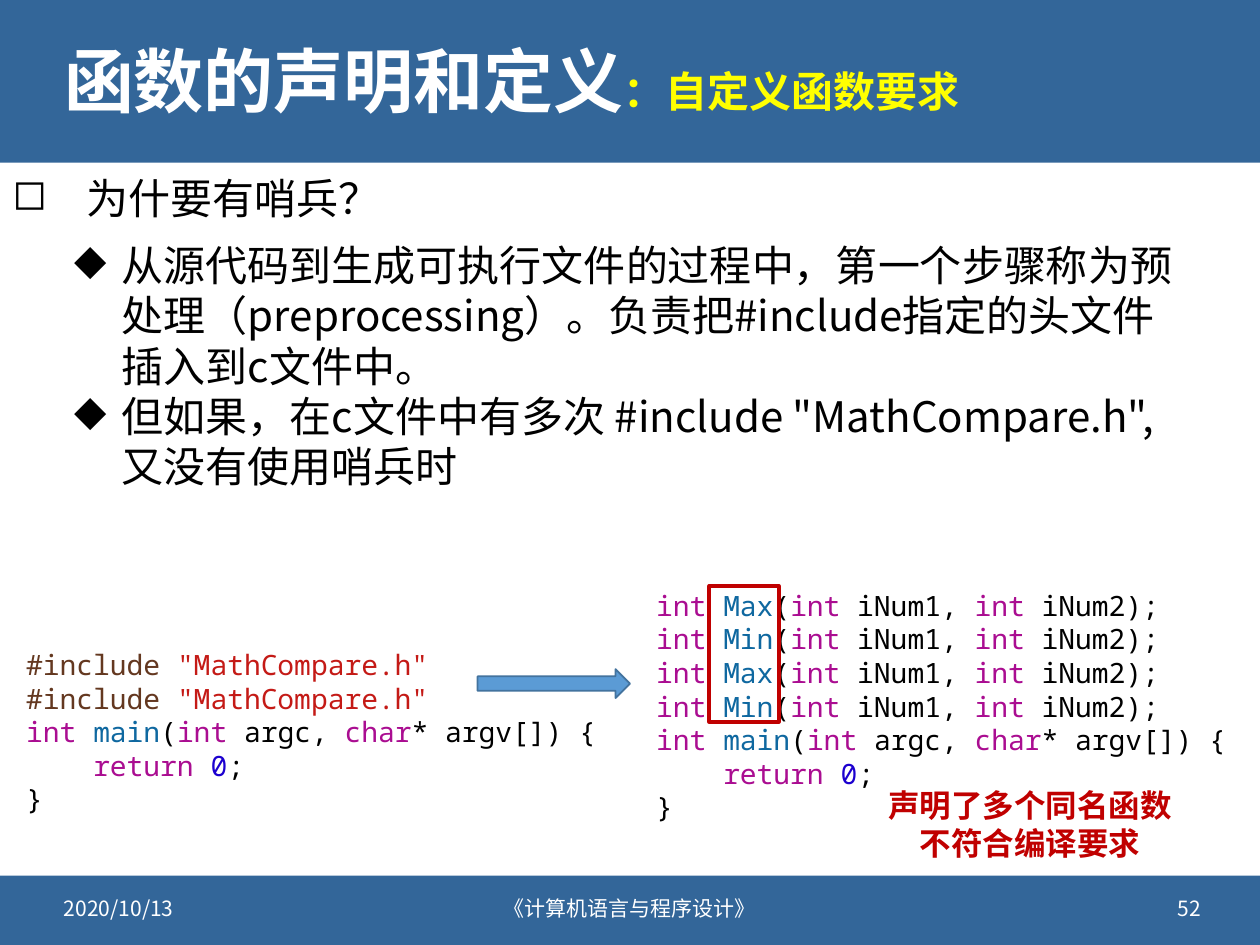
from lxml import etree
from pptx import Presentation
from pptx.dml.color import RGBColor
from pptx.enum.shapes import MSO_SHAPE as Shape
from pptx.enum.text import MSO_ANCHOR as Anchor, PP_ALIGN as Align
from pptx.oxml.ns import qn
from pptx.util import Inches, Pt

SANS, MONO = "Noto Sans CJK SC", "Noto Sans Mono"
WHITE = RGBColor(0xFF, 0xFF, 0xFF)
BLACK = RGBColor(0x00, 0x00, 0x00)
BAND_BLUE = RGBColor(0x33, 0x66, 0x99)
YELLOW = RGBColor(0xFF, 0xFF, 0x00)
RED = RGBColor(0xC0, 0x00, 0x00)
ARROW_FILL = RGBColor(0x5B, 0x9B, 0xD5)
ARROW_LINE = RGBColor(0x43, 0x73, 0x9E)
# Code colours
DIRECTIVE = RGBColor(0x64, 0x38, 0x20)
STRING = RGBColor(0xC4, 0x1A, 0x16)
KEYWORD = RGBColor(0xAA, 0x0D, 0x91)
FUNCTION = RGBColor(0x0F, 0x68, 0xA0)
NUMBER = RGBColor(0x1C, 0x00, 0xCF)

INCLUDE_LINE = [("#include ", DIRECTIVE), ('"MathCompare.h"', STRING)]
MAIN_LINES = [
    [("int ", KEYWORD), ("main", FUNCTION), ("(", BLACK), ("int ", KEYWORD),
     ("argc, ", BLACK), ("char", KEYWORD), ("* argv[]) {", BLACK)],
    [("    ", BLACK), ("return ", KEYWORD), ("0", NUMBER), (";", BLACK)],
    [("}", BLACK)],
]


def declaration(name):
    return [("int ", KEYWORD), (name, FUNCTION), ("(", BLACK), ("int", KEYWORD),
            (" iNum1, ", BLACK), ("int", KEYWORD), (" iNum2);", BLACK)]


def add_run(paragraph, text, size, color, font=SANS, bold=False):
    run = paragraph.add_run()
    run.text = text
    run.font.name = font
    run.font.size = Pt(size)
    run.font.bold = bold
    run.font.color.rgb = color
    east_asian = etree.SubElement(run.font._element, qn("a:ea"))
    east_asian.set("typeface", font)


def add_text_frame(slide, box, anchor=Anchor.TOP, wrap=True):
    frame = slide.shapes.add_textbox(*map(Inches, box)).text_frame
    frame.word_wrap = wrap
    frame.vertical_anchor = anchor
    return frame


def add_paragraphs(frame, count):
    return [frame.paragraphs[0]] + [frame.add_paragraph() for _ in range(count - 1)]


def add_bullet(paragraph, character, indent):
    properties = paragraph._p.get_or_add_pPr()
    properties.set("marL", str(Inches(indent)))
    properties.set("indent", str(-Inches(indent)))
    color = etree.SubElement(properties, qn("a:buClr"))
    etree.SubElement(color, qn("a:srgbClr")).set("val", str(BLACK))
    etree.SubElement(properties, qn("a:buChar")).set("char", character)


def add_preset(slide, preset, box, fill=None, line=None, line_width=1):
    shape = slide.shapes.add_shape(preset, *map(Inches, box))
    shape.shadow.inherit = False
    if fill is None:
        shape.fill.background()
    else:
        shape.fill.solid()
        shape.fill.fore_color.rgb = fill
    if line is None:
        shape.line.fill.background()
    else:
        shape.line.color.rgb = line
        shape.line.width = Pt(line_width)
    return shape


def add_header(slide, box):
    left, top, width, height = box
    add_preset(slide, Shape.RECTANGLE, box, BAND_BLUE)
    frame = add_text_frame(slide, (left + 0.41, top + 0.18, width - 0.81, height - 0.3),
                           Anchor.MIDDLE)
    title = frame.paragraphs[0]
    title.line_spacing = 0.9
    add_run(title, "函数的声明和定义", 40, WHITE, bold=True)
    add_run(title, "：自定义函数要求", 24, YELLOW, bold=True)


def add_footer(slide, box):
    left, top, width, height = box
    add_preset(slide, Shape.RECTANGLE, box, BAND_BLUE)
    fields = [
        ("2020/10/13", 0.41, 2.4, Align.LEFT),
        ("《计算机语言与程序设计》", 3.2, 3.6, Align.CENTER),
        ("52", 7.23, 2.4, Align.RIGHT),
    ]
    for text, offset, field_width, alignment in fields:
        frame = add_text_frame(slide, (left + offset, top + 0.06, field_width, 0.4),
                               Anchor.MIDDLE)
        frame.paragraphs[0].alignment = alignment
        add_run(frame.paragraphs[0], text, 12, WHITE)


def add_explanation(slide, box):
    left, top, width, height = box
    # Question
    question = add_text_frame(slide, (left, top, 9.19, 0.74)).paragraphs[0]
    question.line_spacing = 1.1
    add_bullet(question, "◻", 0.59)
    add_run(question, "为什要有哨兵？", 24, BLACK)
    # Answer points
    points = [
        "从源代码到生成可执行文件的过程中，第一个步骤称为预处理（preprocessing）。"
        "负责把#include指定的头文件插入到c文件中。",
        '但如果，在c文件中有多次 #include "MathCompare.h", 又没有使用哨兵时',
    ]
    frame = add_text_frame(slide, (left + 0.49, top + 0.57, 9.03, height - 0.57))
    for paragraph, text in zip(add_paragraphs(frame, len(points)), points):
        add_bullet(paragraph, "◆", 0.38)
        add_run(paragraph, text, 24, BLACK)


def add_code(slide, box, lines):
    frame = add_text_frame(slide, box)
    for paragraph, tokens in zip(add_paragraphs(frame, len(lines)), lines):
        for text, color in tokens:
            add_run(paragraph, text, 16, color, MONO)


def add_expansion(slide, box):
    left, top, width, height = box
    # Source before and after preprocessing
    add_code(slide, (left, top + 0.47, 4.79, 1.45), [INCLUDE_LINE] * 2 + MAIN_LINES)
    declarations = [declaration(name) for name in ("Max", "Min") * 2]
    add_code(slide, (left + 5, top, 4.79, 1.99), declarations + MAIN_LINES)
    # Arrow from source to result
    arrow = add_preset(slide, Shape.DOWN_ARROW, (left + 4.17, top + 0.2, 0.23, 1.21),
                       ARROW_FILL, ARROW_LINE)
    arrow.rotation = 270
    # Frame around the repeated names, and the warning
    add_preset(slide, Shape.RECTANGLE, (left + 5.52, top + 0.03, 0.55, 1.08),
               line=RED, line_width=2.25)
    frame = add_text_frame(slide, (left + 6.83, top + 1.57, 2.47, 0.71), wrap=False)
    warning = ["声明了多个同名函数", "不符合编译要求"]
    for paragraph, text in zip(add_paragraphs(frame, len(warning)), warning):
        paragraph.alignment = Align.CENTER
        add_run(paragraph, text, 18, RED, bold=True)


def main():
    presentation = Presentation()
    presentation.slide_width = Inches(10)
    presentation.slide_height = Inches(7.5)
    slide = presentation.slides.add_slide(presentation.slide_layouts[6])
    add_header(slide, (0, 0, 10, 1.29))
    add_footer(slide, (0, 6.95, 10, 0.55))
    add_explanation(slide, (0, 1.28, 10, 2.69))
    add_expansion(slide, (0.11, 4.62, 9.79, 2.28))
    presentation.save("out.pptx")


if __name__ == "__main__":
    main()
